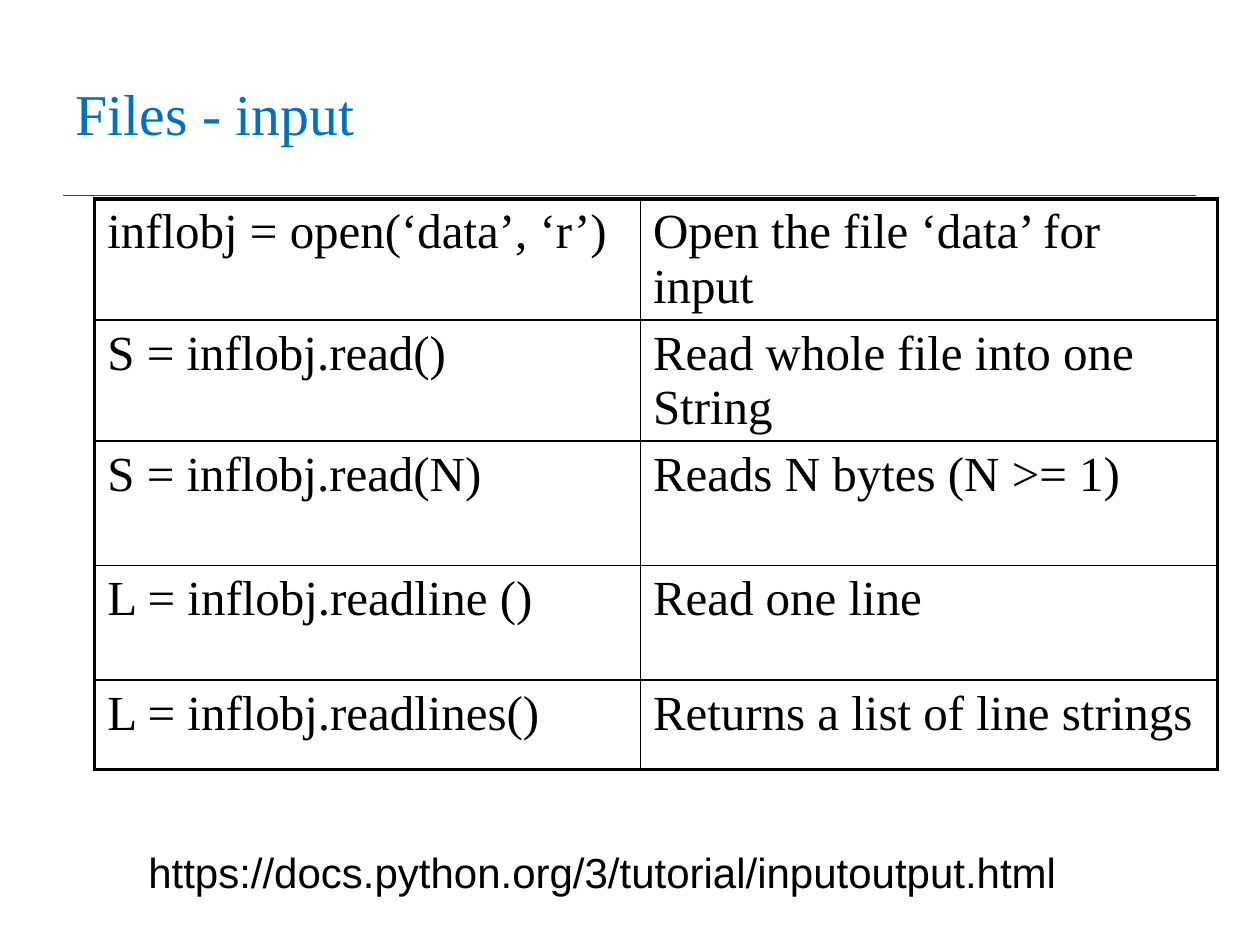
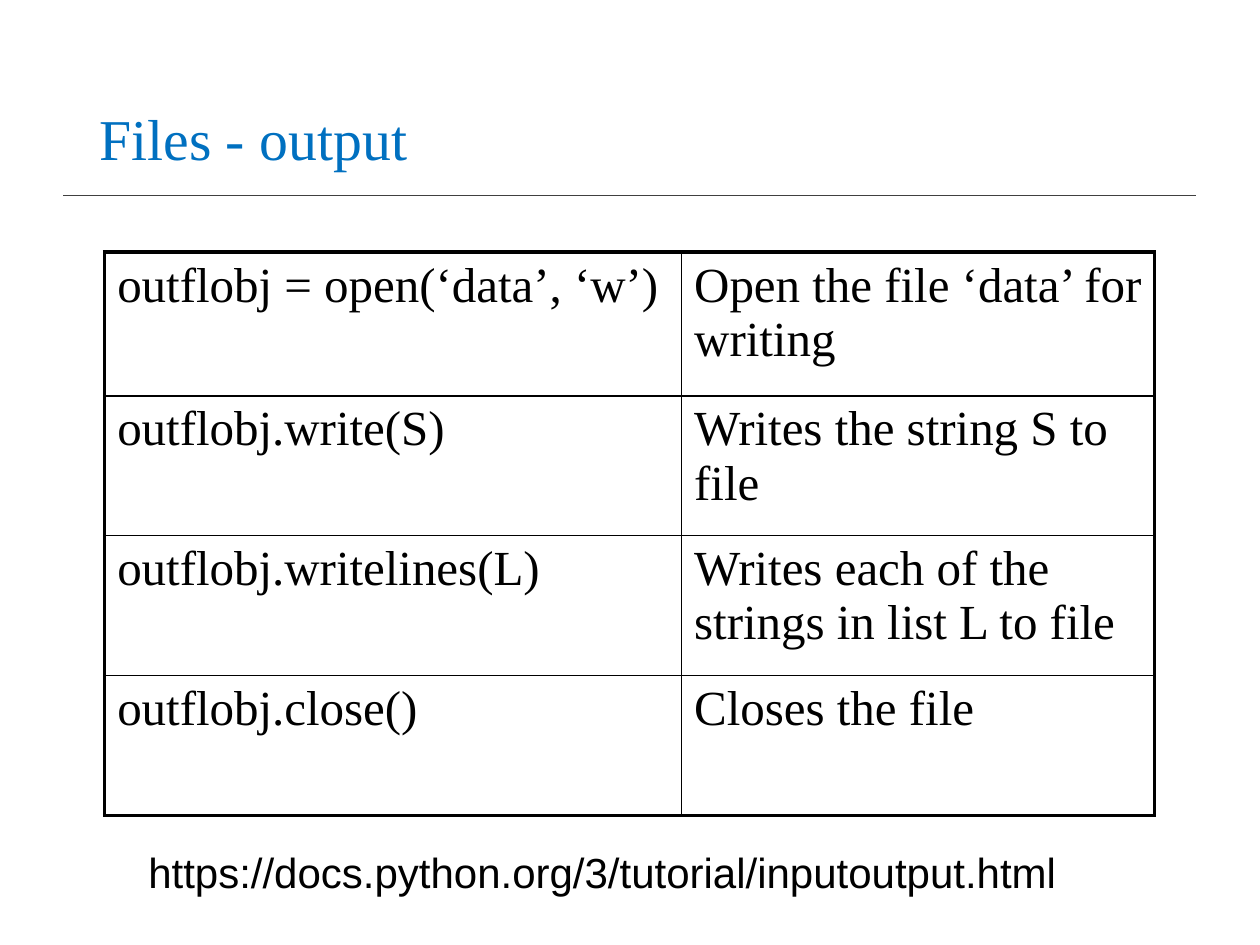
from dataclasses import dataclass

from lxml.etree import SubElement
from pptx import Presentation
from pptx.dml.color import RGBColor
from pptx.enum.shapes import MSO_CONNECTOR
from pptx.enum.text import MSO_ANCHOR as Anchor, MSO_AUTO_SIZE as AutoSize, PP_ALIGN as Align
from pptx.oxml.ns import qn
from pptx.util import Cm, Pt


@dataclass(frozen=True)
class Theme:
    """Colours, fonts and sizes in points."""
    title: str = "0070C0"
    ink: str = "000000"
    rule: str = "404040"
    serif: str = "Times New Roman"
    sans: str = "Arial"
    title_size: float = 33
    cell_size: float = 28
    link_size: float = 24
    thin: float = 1
    thick: float = 2.25


@dataclass(frozen=True)
class Box:
    """Place and size in centimetres."""
    left: float
    top: float
    width: float
    height: float

    def emu(self) -> tuple:
        """Return the four lengths as slide units."""
        return Cm(self.left), Cm(self.top), Cm(self.width), Cm(self.height)


@dataclass(frozen=True)
class FileSlide:
    """A titled table of calls and their meanings, lengths in centimetres."""
    title: str
    title_box: Box
    left: float
    top: float
    cols: tuple
    row_heights: tuple
    rows: tuple


THEME = Theme()
LINK = "https://docs.python.org/3/tutorial/inputoutput.html"
LINK_BOX = Box(2.74, 16.94, 20.12, 1.27)

SLIDES = (
    FileSlide(
        "Files - input", Box(1.27, 0.76, 22.86, 3.18), 1.91, 4.01,
        (11, 11.63), (2.31, 2.31, 2.51, 2.31, 1.8),
        (("inflobj = open(‘data’, ‘r’)", "Open the file ‘data’ for input"),
         ("S = inflobj.read()", "Read whole file into one String"),
         ("S = inflobj.read(N)", "Reads N bytes (N >= 1)"),
         ("L = inflobj.readline ()", "Read one line"),
         ("L = inflobj.readlines()", "Returns a list of line strings")),
    ),
    FileSlide(
        "Files - output", Box(1.75, 1.02, 21.89, 3.68), 2.11, 5.08,
        (11.63, 9.53), (2.9, 2.82, 2.82, 2.82),
        (("outflobj = open(‘data’, ‘w’)", "Open the file ‘data’ for writing"),
         ("outflobj.write(S)", "Writes the string S to file"),
         ("outflobj.writelines(L)", "Writes each of the strings in list L to file"),
         ("outflobj.close()", "Closes the file")),
    ),
)


def put_text(tf, text: str, *, size: float, font: str = THEME.serif,
             color: str = THEME.ink, spacing: float = 1.0):
    """Write one left-aligned paragraph and return it."""
    tf.word_wrap = True
    p = tf.paragraphs[0]
    p.alignment = Align.LEFT
    p.line_spacing = spacing
    r = p.add_run()
    r.text = text
    r.font.size = Pt(size)
    r.font.name = font
    r.font.color.rgb = RGBColor.from_string(color)
    return p


def add_layout_rule(layout, s) -> None:
    """Draw the rule under the title and hand it to the shared layout."""
    line = s.shapes.add_connector(MSO_CONNECTOR.STRAIGHT, Cm(1.27), Cm(3.94), Cm(24.1), Cm(3.94))
    line.line.color.rgb = RGBColor.from_string(THEME.rule)
    line.line.width = Pt(THEME.thin)
    SubElement(line.element.spPr, qn("a:effectLst"))
    layout.shapes.element.append(line.element)


def set_borders(cell, **widths: float) -> None:
    """Give a cell solid borders; keys are the sides L, R, T and B."""
    tc_pr = cell._tc.get_or_add_tcPr()
    for side, width in widths.items():
        ln = SubElement(tc_pr, qn(f"a:ln{side}"), w=str(Pt(width)))
        SubElement(SubElement(ln, qn("a:solidFill")), qn("a:srgbClr"), val=THEME.ink)


def add_title(s, text: str, box: Box) -> None:
    """Place and fill the title placeholder."""
    sp = s.shapes.title
    sp.left, sp.top, sp.width, sp.height = box.emu()
    sp.text_frame.vertical_anchor = Anchor.MIDDLE
    put_text(sp.text_frame, text, size=THEME.title_size, color=THEME.title, spacing=0.9)


def add_call_table(s, spec: FileSlide) -> None:
    """Draw the table with a thick frame and thin inner lines."""
    n_rows, n_cols = len(spec.rows), len(spec.cols)
    box = Box(spec.left, spec.top, sum(spec.cols), sum(spec.row_heights))
    table = s.shapes.add_table(n_rows, n_cols, *box.emu()).table
    table.first_row = table.horz_banding = False
    for col, width in zip(table.columns, spec.cols):
        col.width = Cm(width)
    for row, height in zip(table.rows, spec.row_heights):
        row.height = Cm(height)

    def edge(outer: bool) -> float:
        """Return the border width for an outer or inner side."""
        return THEME.thick if outer else THEME.thin

    for i, texts in enumerate(spec.rows):
        for j, text in enumerate(texts):
            cell = table.cell(i, j)
            set_borders(cell, L=edge(j == 0), R=edge(j == n_cols - 1),
                        T=edge(i == 0), B=edge(i == n_rows - 1))
            cell.fill.background()
            p = put_text(cell.text_frame, text, size=THEME.cell_size)
            before = SubElement(p._p.get_or_add_pPr(), qn("a:spcBef"))
            SubElement(before, qn("a:spcPct"), val="20000")


def add_link(s) -> None:
    """Write the address under the table."""
    tf = s.shapes.add_textbox(*LINK_BOX.emu()).text_frame
    tf.auto_size = AutoSize.SHAPE_TO_FIT_TEXT
    put_text(tf, LINK, size=THEME.link_size, font=THEME.sans)


def main() -> None:
    """Build and save the slides."""
    prs = Presentation()
    prs.slide_width, prs.slide_height = Cm(25.4), Cm(19.05)
    layout = prs.slide_layouts[5]
    for i, spec in enumerate(SLIDES):
        s = prs.slides.add_slide(layout)
        if i == 0:
            add_layout_rule(layout, s)
        add_call_table(s, spec)
        add_title(s, spec.title, spec.title_box)
        add_link(s)
    prs.save("out.pptx")


main()
